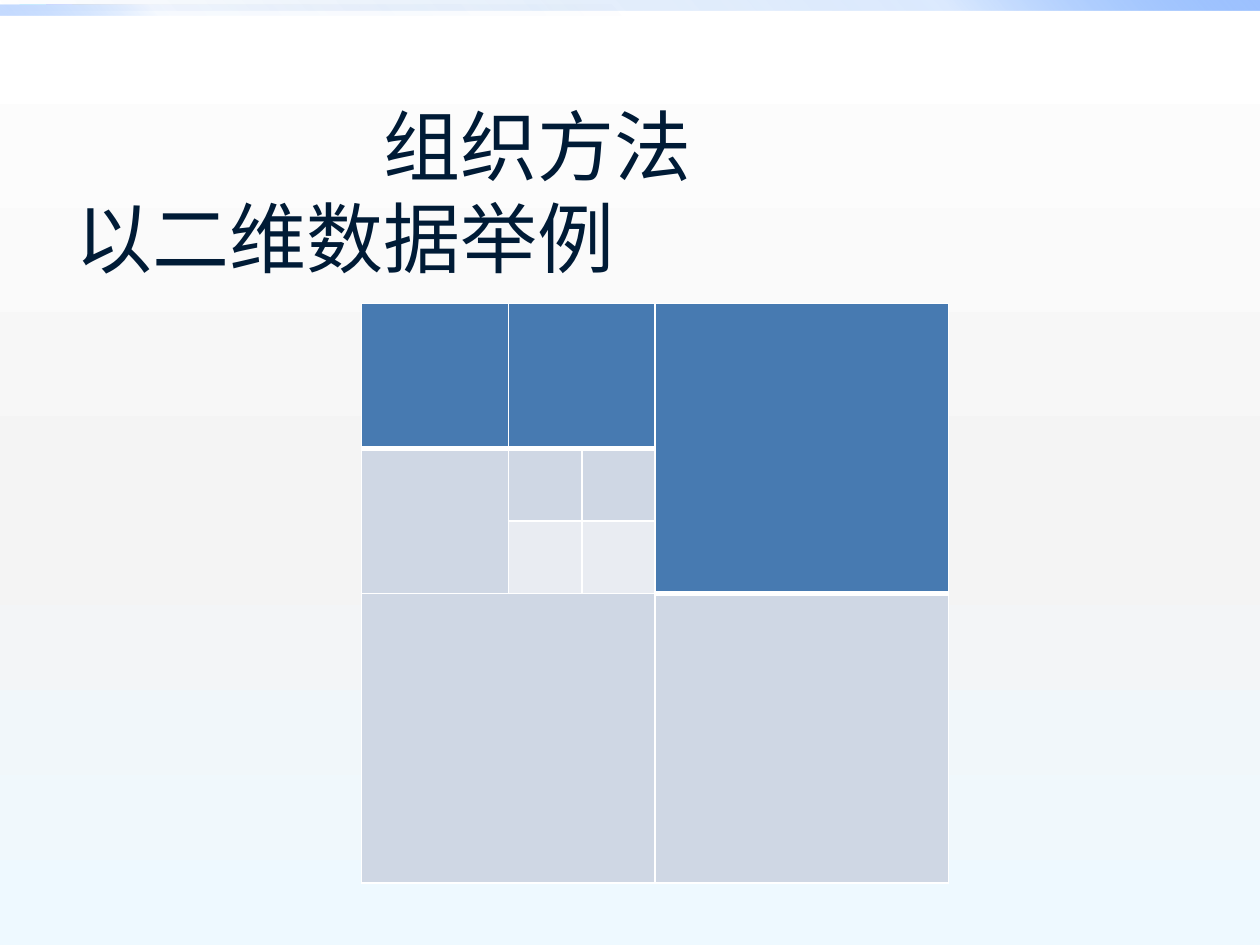
from lxml.etree import SubElement
from pptx import Presentation
from pptx.dml.color import RGBColor
from pptx.enum.shapes import MSO_SHAPE
from pptx.enum.text import MSO_ANCHOR, MSO_AUTO_SIZE, PP_ALIGN
from pptx.oxml import parse_xml
from pptx.oxml.ns import nsdecls, qn
from pptx.util import Inches, Pt

WHITE = RGBColor(0xFF, 0xFF, 0xFF)
NAVY = RGBColor(0x00, 0x1B, 0x36)
BLUE = RGBColor(0x47, 0x7A, 0xB1)
GREY = RGBColor(0xCF, 0xD7, 0xE4)
PALE = RGBColor(0xE9, 0xEC, 0xF2)
LIGHT_GREY = RGBColor(0xF4, 0xF4, 0xF4)
ICE = RGBColor(0xEE, 0xF9, 0xFF)
DEEP_BLUE = RGBColor(0x00, 0x58, 0xB7)
MID_BLUE = RGBColor(0x4F, 0x95, 0xFF)
SKY_BLUE = RGBColor(0x9E, 0xC2, 0xFF)

WIDTH, HEIGHT = 10, 7.5
TITLE_LINES = [("组织方法", 2.44), ("以二维数据举例", 0)]  # text, left indent
TITLE_FORMAT = {"size": Pt(44), "name": "Roboto", "bold": False}

# Gradient stops: position %, colour, opacity %
BACKGROUND_STOPS = [(0, WHITE, 100), (55, LIGHT_GREY, 100), (100, ICE, 100)]
# Top bars: top, share of the slide's width, angle, stops
BARS = [
    (0, 1, 315, [(0, DEEP_BLUE, 0), (75, MID_BLUE, 20), (100, SKY_BLUE, 100)]),
    (0.04, 0.5, 135, [(0, DEEP_BLUE, 0), (75, MID_BLUE, 5), (100, SKY_BLUE, 60)]),
]
BAR_HEIGHT = 0.08

# Quadtree: each level halves the cell before it
TABLE_LEFT, TABLE_TOP = 2.87, 2.41
TABLE_WIDTH, TABLE_HEIGHT = 4.66, 4.6
SHARES = [1 / 4, 1 / 8, 1 / 8, 1 / 2]
# Cells: row, column, rows spanned, columns spanned, fill
CELLS = [
    (0, 0, 1, 1, BLUE), (0, 1, 1, 2, BLUE), (0, 3, 3, 1, BLUE),
    (1, 0, 2, 1, GREY), (1, 1, 1, 1, GREY), (1, 2, 1, 1, GREY),
    (2, 1, 1, 1, PALE), (2, 2, 1, 1, PALE),
    (3, 0, 1, 3, GREY), (3, 3, 1, 1, GREY),
]


def set_gradient(fill, owner, angle, stops):
    """Fill with any number of stops; angle runs clockwise."""
    fill.gradient()
    fill.gradient_angle = (360 - angle) % 360
    stop_list = owner.xpath(".//a:gsLst")[0]
    for old_stop in list(stop_list):
        stop_list.remove(old_stop)
    for position, color, opacity in stops:
        stop = SubElement(stop_list, qn("a:gs"), pos=str(position * 1000))
        paint = SubElement(stop, qn("a:srgbClr"), val=str(color))
        if opacity < 100:
            SubElement(paint, qn("a:alpha"), val=str(opacity * 1000))


def set_borders(cell, bottom_width):
    properties = cell._tc.get_or_add_tcPr()
    widths = {"lnL": 1, "lnR": 1, "lnT": 1, "lnB": bottom_width}
    for index, (side, width) in enumerate(widths.items()):
        properties.insert(index, parse_xml(
            f'<a:{side} {nsdecls("a")} w="{Pt(width)}"><a:solidFill>'
            f'<a:srgbClr val="{WHITE}"/></a:solidFill></a:{side}>'))


def add_bars(slide):
    for top, share, angle, stops in BARS:
        bar = slide.shapes.add_shape(
            MSO_SHAPE.RECTANGLE, 0, Inches(top),
            Inches(WIDTH * share), Inches(BAR_HEIGHT))
        bar.shadow.inherit = False
        bar.line.fill.background()
        set_gradient(bar.fill, bar._element, angle, stops)


def add_title(slide):
    title = slide.shapes.title
    title.left, title.top = Inches(0.5), Inches(0.3)
    title.width, title.height = Inches(9), Inches(2.43)
    frame = title.text_frame
    frame.auto_size = MSO_AUTO_SIZE.NONE
    frame.vertical_anchor = MSO_ANCHOR.MIDDLE
    frame.text = "\n".join(text for text, _ in TITLE_LINES)
    for para, (_, indent) in zip(frame.paragraphs, TITLE_LINES):
        para.alignment = PP_ALIGN.LEFT
        para._p.get_or_add_pPr().set("marL", str(Inches(indent)))
        font = para.runs[0].font
        for name, value in TITLE_FORMAT.items():
            setattr(font, name, value)
        font.color.rgb = NAVY


def add_quadtree(slide):
    table = slide.shapes.add_table(
        len(SHARES), len(SHARES), Inches(TABLE_LEFT), Inches(TABLE_TOP),
        Inches(TABLE_WIDTH), Inches(TABLE_HEIGHT)).table
    for column, row, share in zip(table.columns, table.rows, SHARES):
        column.width = Inches(TABLE_WIDTH * share)
        row.height = Inches(TABLE_HEIGHT * share)
    for row, column, row_span, column_span, color in CELLS:
        cell = table.cell(row, column)
        if row_span * column_span > 1:
            cell.merge(table.cell(row + row_span - 1, column + column_span - 1))
        cell.fill.solid()
        cell.fill.fore_color.rgb = color
        set_borders(cell, bottom_width=3 if row == 0 else 1)


def main():
    deck = Presentation()
    deck.slide_width, deck.slide_height = Inches(WIDTH), Inches(HEIGHT)
    slide = deck.slides.add_slide(deck.slide_layouts[5])
    set_gradient(slide.background.fill, slide._element, 90, BACKGROUND_STOPS)
    add_bars(slide)
    add_title(slide)
    add_quadtree(slide)
    deck.save("out.pptx")


if __name__ == "__main__":
    main()
